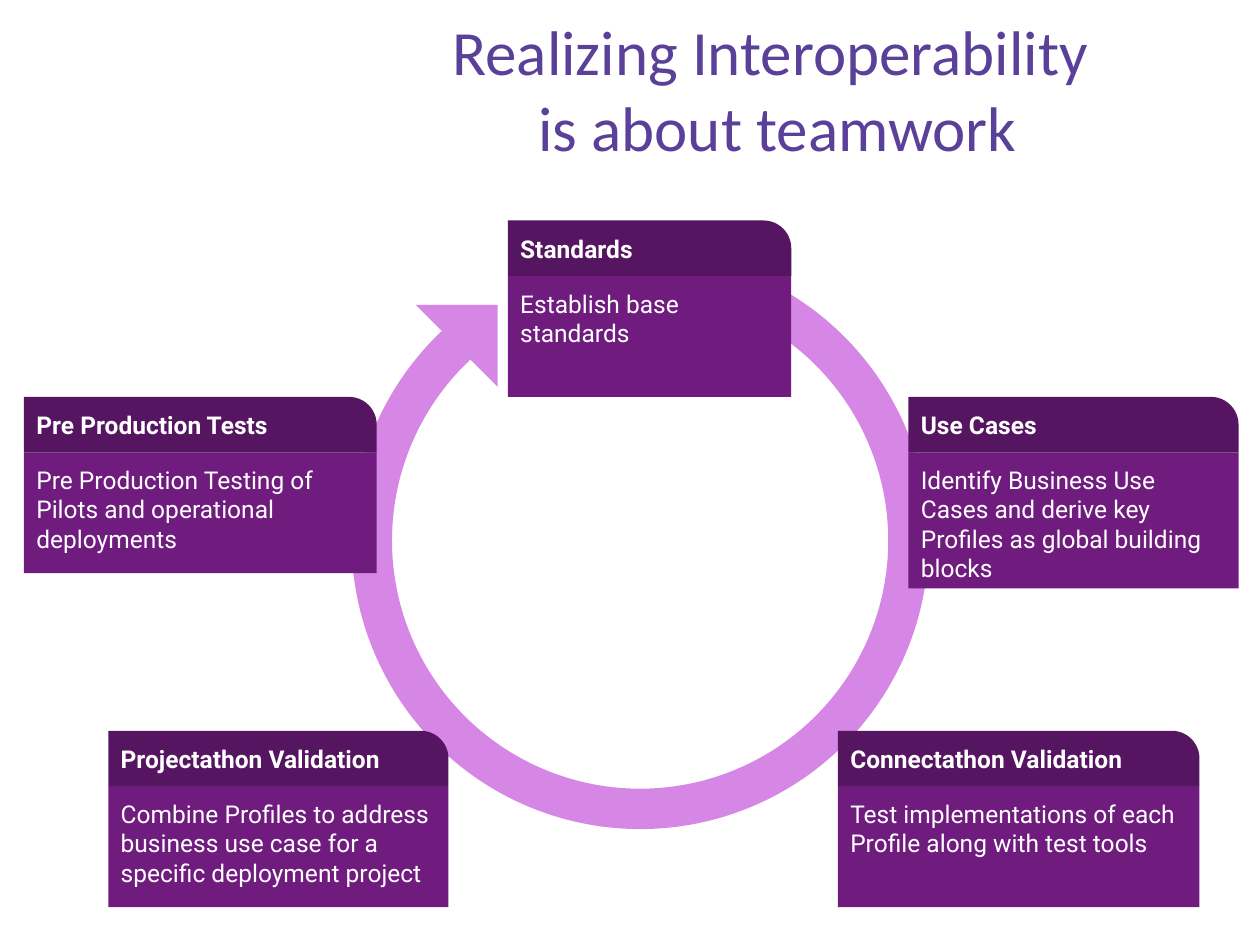
from pptx import Presentation
from pptx.dml.color import RGBColor
from pptx.enum.shapes import MSO_SHAPE
from pptx.enum.text import MSO_ANCHOR, PP_ALIGN
from pptx.util import Inches, Pt

RECTANGLE = MSO_SHAPE.RECTANGLE
ROUNDED_TAB = MSO_SHAPE.ROUND_1_RECTANGLE
RING = MSO_SHAPE.BLOCK_ARC
ARROW_TIP = MSO_SHAPE.RIGHT_TRIANGLE
TOP, MIDDLE = MSO_ANCHOR.TOP, MSO_ANCHOR.MIDDLE
LEFT, CENTER = PP_ALIGN.LEFT, PP_ALIGN.CENTER

TITLE_COLOR = RGBColor(0x5A, 0x40, 0x99)
ORCHID = RGBColor(0xD6, 0x86, 0xE4)
PURPLE = RGBColor(0x70, 0x1C, 0x7F)
DARK_PURPLE = RGBColor(0x55, 0x15, 0x61)
WHITE = RGBColor(0xFF, 0xFF, 0xFF)

TITLE = "Realizing Interoperability \nis about teamwork"
HEADER_HEIGHT = 0.44
BODY_HEIGHT = 0.96
CARDS = [
    ("Standards", "Establish base standards", 4.03, 1.75, 2.25, BODY_HEIGHT),
    ("Pre Production Tests",
     "Pre Production Testing of Pilots and operational deployments",
     0.19, 3.15, 2.8, BODY_HEIGHT),
    ("Connectathon Validation",
     "Test implementations of each Profile along with test tools",
     6.65, 5.8, 2.87, BODY_HEIGHT),
    ("Projectathon Validation",
     "Combine Profiles to address business use case for a specific deployment project",
     0.86, 5.8, 2.7, BODY_HEIGHT),
    ("Use Cases",
     "Identify Business Use Cases and derive key Profiles as global building blocks",
     7.21, 3.15, 2.62, 1.08),
]
CYCLE = [
    (RING, 2.79, 2, 4.58, (54, 30.13, 0.07)),
    (ARROW_TIP, 3.3, 2.42, 0.65, ()),
]


def add_block(page, kind, left, top, width, height, color):
    block = page.shapes.add_shape(
        kind, Inches(left), Inches(top), Inches(width), Inches(height))
    block.shadow.inherit = False
    block.fill.solid()
    block.fill.fore_color.rgb = color
    block.line.fill.background()
    return block


def write(shape, text, font, size, color, align, bold=False):
    shape.text_frame.text = text
    for para in shape.text_frame.paragraphs:
        para.alignment = align
        for span in para.runs:
            span.font.name = font
            span.font.size = Pt(size)
            span.font.bold = bold
            span.font.color.rgb = color


def write_card(block, text, anchor, bold):
    frame = block.text_frame
    frame.word_wrap = True
    frame.vertical_anchor = anchor
    frame.margin_left = frame.margin_right = Inches(0.1)
    frame.margin_top = frame.margin_bottom = Inches(0.1)
    write(block, text, "Roboto", 14, WHITE, LEFT, bold)


deck = Presentation()
deck.slide_width, deck.slide_height = Inches(10), Inches(7.5)
page = deck.slides.add_slide(deck.slide_layouts[5])

title = page.shapes.title
title.left, title.top = Inches(2.42), Inches(0.12)
title.width, title.height = Inches(7.5), Inches(1.16)
title.text_frame.vertical_anchor = MIDDLE
write(title, TITLE, "Calibri", 36, TITLE_COLOR, CENTER)
for para in title.text_frame.paragraphs:
    para.space_before = Pt(0)

for kind, left, top, size, adjustments in CYCLE:
    part = add_block(page, kind, left, top, size, size, ORCHID)
    part.rotation = 180
    for index, value in enumerate(adjustments):
        part.adjustments[index] = value

for heading, detail, left, top, width, body_height in CARDS:
    body = add_block(page, RECTANGLE, left, top + HEADER_HEIGHT, width,
                     body_height, PURPLE)
    write_card(body, detail, TOP, False)
    header = add_block(page, ROUNDED_TAB, left, top, width, HEADER_HEIGHT,
                       DARK_PURPLE)
    header.adjustments[0] = 0.5
    write_card(header, heading, MIDDLE, True)

deck.save("out.pptx")
